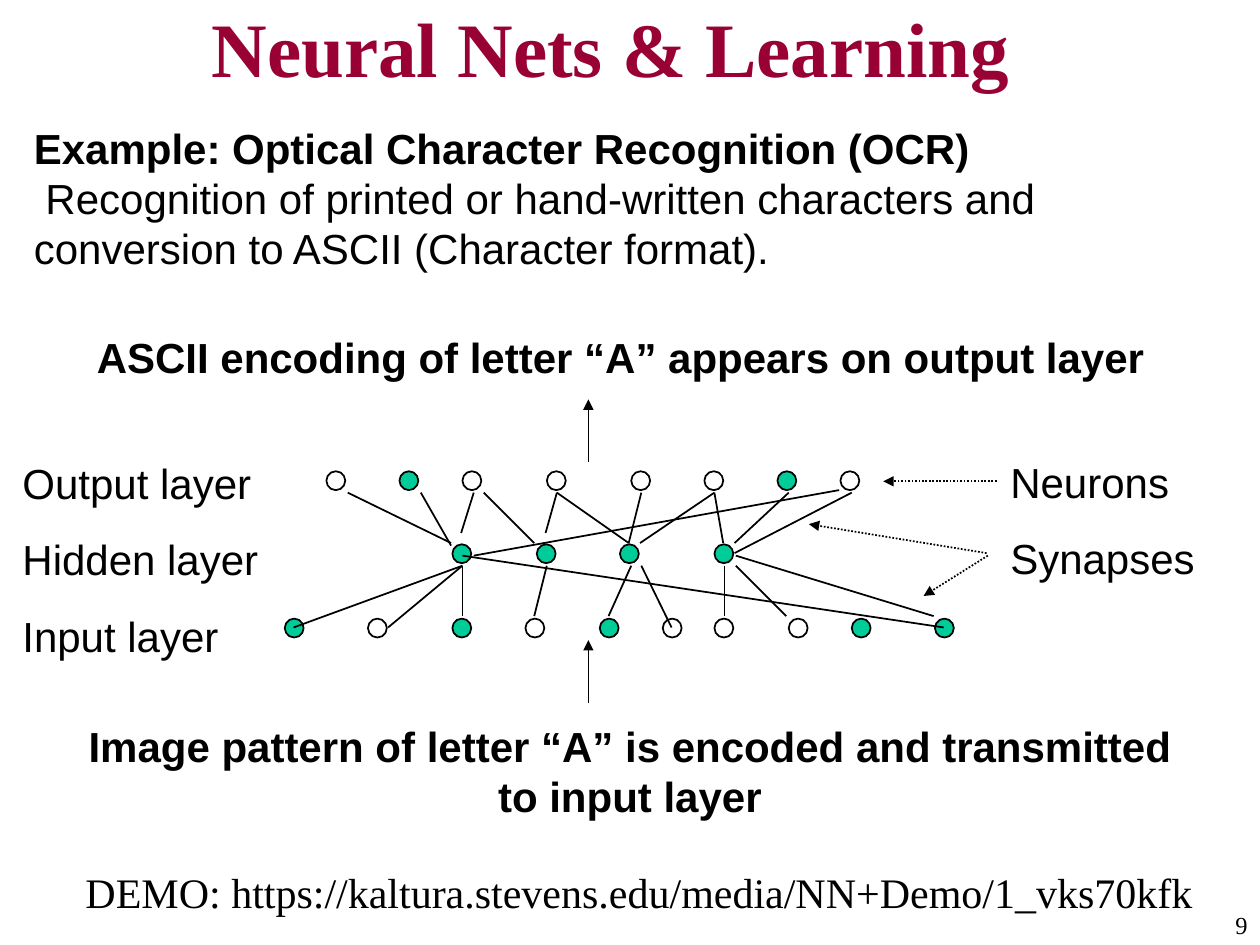
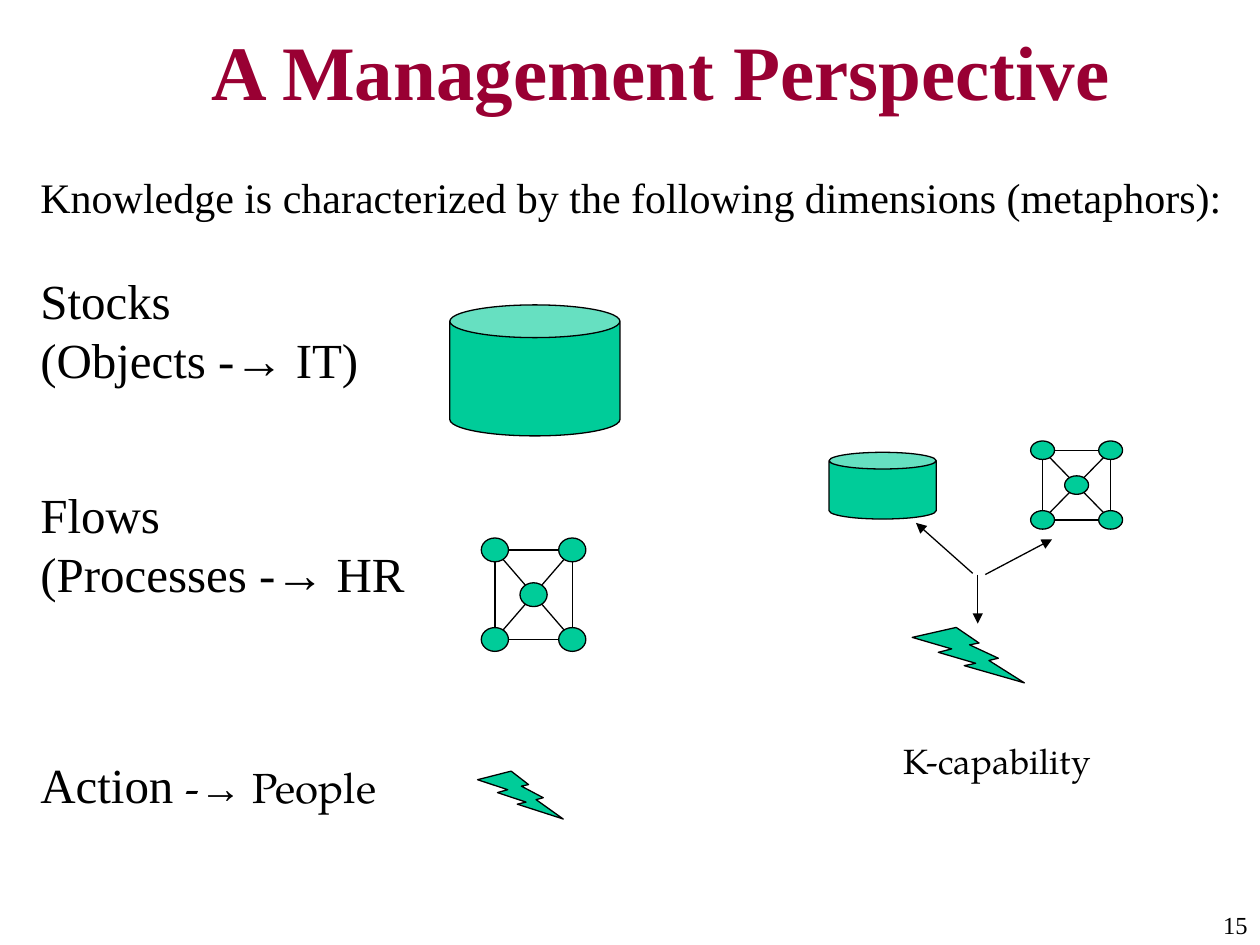
from lxml import etree
from pptx import Presentation
from pptx import util as u
from pptx.dml.color import RGBColor
from pptx.enum import dml, shapes, text
from pptx.oxml import ns

# Shared look
MAROON = RGBColor(0x99, 0x00, 0x33)
GREEN = RGBColor(0x00, 0xCC, 0x99)
BLACK = RGBColor(0x00, 0x00, 0x00)
WHITE = RGBColor(0xFF, 0xFF, 0xFF)
SERIF, SANS, PAGELLA = "Times New Roman", "Arial", "TeX Gyre Pagella"
CONTENT_LAYOUT, TITLE_LAYOUT = 1, 5
LEFT, CENTER, RIGHT = text.PP_ALIGN.LEFT, text.PP_ALIGN.CENTER, text.PP_ALIGN.RIGHT

# Neural network: left edges of the neurons, and which of them fire
NEURON = 0.15
LAYERS = [
    (3.74, [2.59, 3.17, 3.67, 4.34, 5.01, 5.59, 6.17, 6.67], "01000010"),
    (4.32, [3.59, 4.26, 4.92, 5.67], "1111"),
    (4.91, [2.26, 2.92, 3.59, 4.17, 4.76, 5.26, 5.67, 6.26, 6.76, 7.42], "1010100011"),
]
SYNAPSES = [
    # Output to hidden
    (2.76, 3.91, 3.58, 4.31), (3.34, 3.91, 3.58, 4.33), (3.76, 4.41, 6.66, 3.89),
    (3.84, 3.91, 4.24, 4.31), (4.42, 3.91, 4.33, 4.23), (6.76, 3.91, 5.83, 4.39),
    (5.09, 3.91, 4.99, 4.31), (5.67, 3.91, 5.08, 4.31), (4.42, 3.91, 4.99, 4.31),
    (5.67, 3.91, 5.74, 4.31), (3.76, 3.91, 3.66, 4.23), (6.26, 3.91, 5.83, 4.31),
    # Hidden to input
    (3.67, 4.49, 2.33, 4.98), (3.67, 4.49, 3.08, 4.98), (3.67, 4.49, 3.67, 4.89),
    (3.67, 4.41, 7.49, 4.98), (5.84, 4.41, 7.41, 4.89), (4.34, 4.49, 4.24, 4.89),
    (5.01, 4.49, 4.83, 4.89), (5.09, 4.49, 5.33, 4.98), (5.75, 4.49, 5.75, 4.89),
    (5.84, 4.49, 6.24, 4.89),
]


def inches(*lengths):
    return [u.Inches(length) for length in lengths]


def place(shape, *box):
    shape.left, shape.top, shape.width, shape.height = inches(*box)


def add_run(paragraph, words, font=SERIF, size=24, color=BLACK, bold=False):
    run = paragraph.add_run()
    run.text = words
    run.font.name = font
    run.font.size = u.Pt(size)
    run.font.color.rgb = color
    run.font.bold = bold


def write(paragraph, words, align=LEFT, before=0, **style):
    paragraph.alignment = align
    paragraph.space_before = u.Pt(before)
    add_run(paragraph, words, **style)


def add_text(slide, box, *lines, wrap=True, gap=0, **style):
    """Add a text box with one paragraph per line, gap points apart."""
    frame = slide.shapes.add_textbox(*inches(*box)).text_frame
    frame.word_wrap = wrap
    for index, line in enumerate(lines):
        paragraph = frame.add_paragraph() if index else frame.paragraphs[0]
        write(paragraph, line, before=gap if index else 0, **style)
    return frame


def add_figure(parent, kind, box, fill=GREEN, weight=0.75):
    shape = parent.shapes.add_shape(kind, *inches(*box))
    shape.shadow.inherit = False
    shape.fill.solid()
    shape.fill.fore_color.rgb = fill
    shape.line.color.rgb = BLACK
    shape.line.width = u.Pt(weight)


def add_line(parent, ends, weight=0.75, arrow=False, dotted=False):
    line = parent.shapes.add_connector(shapes.MSO_CONNECTOR.STRAIGHT, *inches(*ends))
    line.line.color.rgb = BLACK
    line.line.width = u.Pt(weight)
    if dotted:
        line.line.dash_style = dml.MSO_LINE.ROUND_DOT
    properties = line._element.spPr
    if arrow:
        outline = properties.find(ns.qn("a:ln"))
        etree.SubElement(outline, ns.qn("a:tailEnd"), type="triangle")
    etree.SubElement(properties, ns.qn("a:effectLst"))


def add_slide(presentation, layout, title, title_top, title_height, number):
    slide = presentation.slides.add_slide(presentation.slide_layouts[layout])
    place(slide.shapes.title, 1.58, title_top, 8.42, title_height)
    frame = slide.shapes.title.text_frame
    frame.auto_size = text.MSO_AUTO_SIZE.NONE
    frame.vertical_anchor = text.MSO_ANCHOR.MIDDLE
    write(frame.paragraphs[0], title, size=44, color=MAROON, bold=True)
    add_text(slide, (8.58, 7.17, 1.42, 0.33), number, size=14, align=RIGHT)
    return slide


def add_network_icon(slide, left, top, width, height):
    """Four corner nodes and a hub, all linked, with lines behind the nodes."""
    group = slide.shapes.add_group_shape()
    node_width, node_height = 0.26 * width, 0.21 * height
    x1, x2 = left + node_width / 2, left + width - node_width / 2
    y1, y2 = top + node_height / 2, top + height - node_height / 2
    hub = (left + width / 2, top + height / 2)
    corners = [(x1, y1), (x2, y1), (x2, y2), (x1, y2)]
    for corner, neighbour in zip(corners, corners[1:] + corners[:1]):
        add_line(group, corner + neighbour)
        add_line(group, corner + hub)
    for x, y in corners + [hub]:
        add_figure(group, shapes.MSO_SHAPE.OVAL,
                   (x - node_width / 2, y - node_height / 2, node_width, node_height))


def build_neural_nets(presentation):
    slide = add_slide(presentation, TITLE_LAYOUT, "Neural Nets & Learning", 0.08, 0.58, "9")

    # Introduction
    frame = add_text(slide, (0.17, 0.92, 9.58, 1.3),
                     "Example: Optical Character Recognition (OCR)", font=SANS, bold=True)
    frame.paragraphs[0].add_line_break()
    add_run(frame.paragraphs[0], " Recognition of printed or hand-written characters and "
            "conversion to ASCII (Character format).", font=SANS)

    # Network
    for top, lefts, states in LAYERS:
        for left, state in zip(lefts, states):
            add_figure(slide, shapes.MSO_SHAPE.OVAL, (left, top, NEURON, NEURON),
                       fill=GREEN if state == "1" else WHITE, weight=1)
    for synapse in SYNAPSES:
        add_line(slide, synapse, weight=1)

    # Labels and their pointers
    add_text(slide, (0.08, 3.58, 2.74, 1.71), "Output layer", "Hidden layer", "Input layer",
             font=SANS, gap=15)
    add_text(slide, (7.92, 3.57, 1.83, 1.11), "Neurons", "Synapses", font=SANS, gap=15)
    for pointer in [(7.91, 3.82, 7.01, 3.82), (7.83, 4.39, 6.42, 4.16),
                    (7.84, 4.41, 7.33, 4.73)]:
        add_line(slide, pointer, weight=1, arrow=True, dotted=True)

    # Data flow from input to output
    add_text(slide, (0.67, 2.58, 9, 0.5),
             "ASCII encoding of letter “A” appears on output layer", font=SANS, bold=True)
    add_text(slide, (0.5, 5.67, 9, 0.9),
             "Image pattern of letter “A” is encoded and transmitted to input layer",
             font=SANS, bold=True, align=CENTER)
    for bottom in (3.67, 5.58):
        add_line(slide, (4.67, bottom, 4.67, bottom - 0.5), arrow=True)
    add_text(slide, (0.58, 6.83, 9.08, 0.5),
             "DEMO: https://kaltura.stevens.edu/media/NN+Demo/1_vks70kfk")


def build_management(presentation):
    slide = add_slide(presentation, CONTENT_LAYOUT, "A Management Perspective",
                      0.09, 0.93, "15")

    # Dimensions: space before, then runs of words, font and size
    dimensions = [
        (0, [("Knowledge is characterized by the following dimensions (metaphors):", SERIF, 24)]),
        (28, [("Stocks", SERIF, 28)]),
        (0, [("(Objects -", SERIF, 28), ("→", SANS, 28), (" IT)", SERIF, 28)]),
        (55, [("Flows", SERIF, 28)]),
        (0, [("(Processes -", SERIF, 28), ("→", SANS, 28), (" HR", SERIF, 28)]),
        (87, [("Action ", SERIF, 28), ("-", PAGELLA, 24), ("→", SANS, 24),
              (" People", PAGELLA, 24)]),
    ]
    body = slide.placeholders[1]
    place(body, 0.22, 1.31, 9.63, 5.64)
    frame = body.text_frame
    frame.auto_size = text.MSO_AUTO_SIZE.NONE
    for index, (before, runs) in enumerate(dimensions):
        paragraph = frame.add_paragraph() if index else frame.paragraphs[0]
        paragraph.space_before = u.Pt(before)
        properties = paragraph._p.get_or_add_pPr()
        properties.set("marL", "0")
        properties.set("indent", "0")
        etree.SubElement(properties, ns.qn("a:buNone"))
        for words, font, size in runs:
            add_run(paragraph, words, font=font, size=size)

    # One symbol per dimension, then the three combined
    for can, network, bolt in [
        ((3.57, 2.42, 1.35, 1.04), (3.82, 4.27, 0.83, 0.9), (3.79, 6.12, 0.68, 0.38)),
        ((6.58, 3.59, 0.85, 0.53), (8.18, 3.5, 0.73, 0.7), (7.24, 4.98, 0.89, 0.44)),
    ]:
        add_figure(slide, shapes.MSO_SHAPE.CAN, can)
        add_network_icon(slide, *network)
        add_figure(slide, shapes.MSO_SHAPE.LIGHTNING_BOLT, bolt)
    for arrow in [(7.82, 4.56, 8.35, 4.28), (7.72, 4.55, 7.27, 4.15),
                  (7.76, 4.56, 7.76, 4.95)]:
        add_line(slide, arrow, arrow=True)
    add_text(slide, (7.02, 5.82, 1.79, 0.44), "K-capability", wrap=False,
             font=PAGELLA, size=20, align=CENTER)


def main():
    presentation = Presentation()
    presentation.slide_width, presentation.slide_height = inches(10, 7.5)
    build_neural_nets(presentation)
    build_management(presentation)
    presentation.save("out.pptx")


if __name__ == "__main__":
    main()
